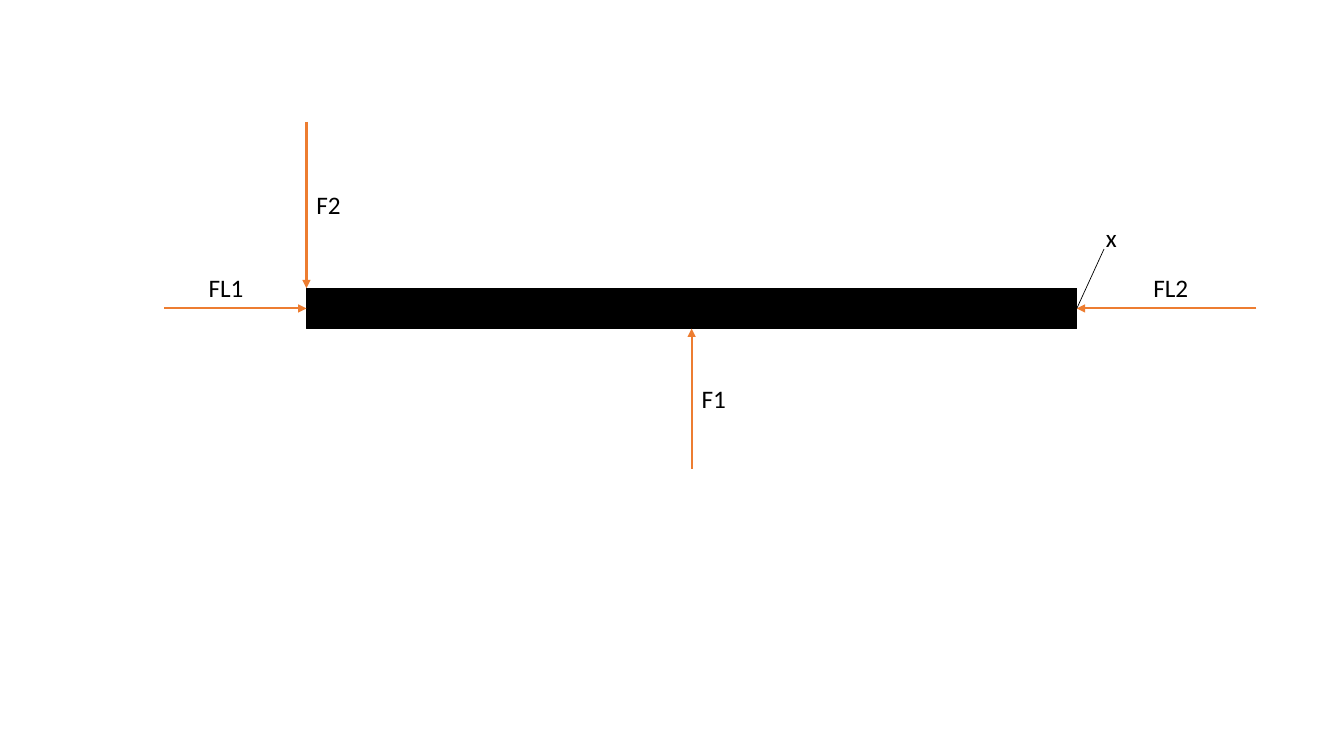
"""Draw a free-body diagram of a beam with its lateral and transverse forces."""
from typing import NamedTuple

import lxml.etree
import pptx
import pptx.dml.color
import pptx.enum.shapes
import pptx.oxml.ns
import pptx.slide
import pptx.util
from pptx.util import Inches

BLACK = pptx.dml.color.RGBColor(0x00, 0x00, 0x00)
ORANGE = pptx.dml.color.RGBColor(0xED, 0x7D, 0x31)

BEAM_LEFT, BEAM_TOP, BEAM_WIDTH, BEAM_HEIGHT = 3.04, 2.86, 7.64, 0.4
BEAM_RIGHT = BEAM_LEFT + BEAM_WIDTH
BEAM_BOTTOM = BEAM_TOP + BEAM_HEIGHT
BEAM_CENTER = BEAM_LEFT + BEAM_WIDTH / 2
BEAM_MIDDLE = BEAM_TOP + BEAM_HEIGHT / 2
LATERAL_LABEL_TOP = 2.65


class Line(NamedTuple):
    start: tuple[float, float]
    end: tuple[float, float]
    color: pptx.dml.color.RGBColor = ORANGE
    weight: float = 1.5
    arrow: bool = True


class Label(NamedTuple):
    text: str
    left: float
    top: float
    width: float = 0.72


LINES = [
    Line((BEAM_LEFT, 1.21), (BEAM_LEFT, BEAM_TOP)),
    Line((BEAM_CENTER, 4.65), (BEAM_CENTER, BEAM_BOTTOM)),
    Line((1.63, BEAM_MIDDLE), (BEAM_LEFT, BEAM_MIDDLE)),
    Line((12.46, BEAM_MIDDLE), (BEAM_RIGHT, BEAM_MIDDLE)),
    Line((BEAM_RIGHT, BEAM_MIDDLE), (10.95, 2.47), BLACK, 0.5, False),
]

LABELS = [
    Label("F2", BEAM_LEFT, 1.83),
    Label("F1", BEAM_CENTER, 3.75),
    Label("FL1", 1.97, LATERAL_LABEL_TOP),
    Label("FL2", 11.34, LATERAL_LABEL_TOP),
    Label("x", 10.87, 2.16, 0.58),
]


def draw_beam(page: pptx.slide.Slide) -> None:
    beam = page.shapes.add_shape(
        pptx.enum.shapes.MSO_SHAPE.RECTANGLE,
        Inches(BEAM_LEFT), Inches(BEAM_TOP), Inches(BEAM_WIDTH), Inches(BEAM_HEIGHT),
    )
    beam.shadow.inherit = False
    beam.fill.solid()
    beam.fill.fore_color.rgb = BLACK
    beam.line.color.rgb = BLACK
    beam.line.width = pptx.util.Pt(1)


def draw_line(page: pptx.slide.Slide, line: Line) -> None:
    connector = page.shapes.add_connector(
        pptx.enum.shapes.MSO_CONNECTOR.STRAIGHT,
        *(Inches(value) for value in line.start + line.end),
    )
    connector.line.color.rgb = line.color
    connector.line.width = pptx.util.Pt(line.weight)
    properties = connector._element.spPr
    if line.arrow:
        outline = properties.find(pptx.oxml.ns.qn("a:ln"))
        lxml.etree.SubElement(outline, pptx.oxml.ns.qn("a:tailEnd"), type="triangle")
    lxml.etree.SubElement(properties, pptx.oxml.ns.qn("a:effectLst"))


def draw_label(page: pptx.slide.Slide, label: Label) -> None:
    box = page.shapes.add_textbox(
        Inches(label.left), Inches(label.top), Inches(label.width), Inches(0.4)
    )
    box.text_frame.word_wrap = True
    para = box.text_frame.paragraphs[0]
    para.text = label.text
    para.font.name = "Calibri"
    para.font.size = pptx.util.Pt(18)
    para.font.color.rgb = BLACK


def main() -> None:
    deck = pptx.Presentation()
    deck.slide_width = Inches(13.33)
    deck.slide_height = Inches(7.5)
    page = deck.slides.add_slide(deck.slide_layouts[6])
    draw_beam(page)
    for line in LINES:
        draw_line(page, line)
    for label in LABELS:
        draw_label(page, label)
    deck.save("out.pptx")


main()
